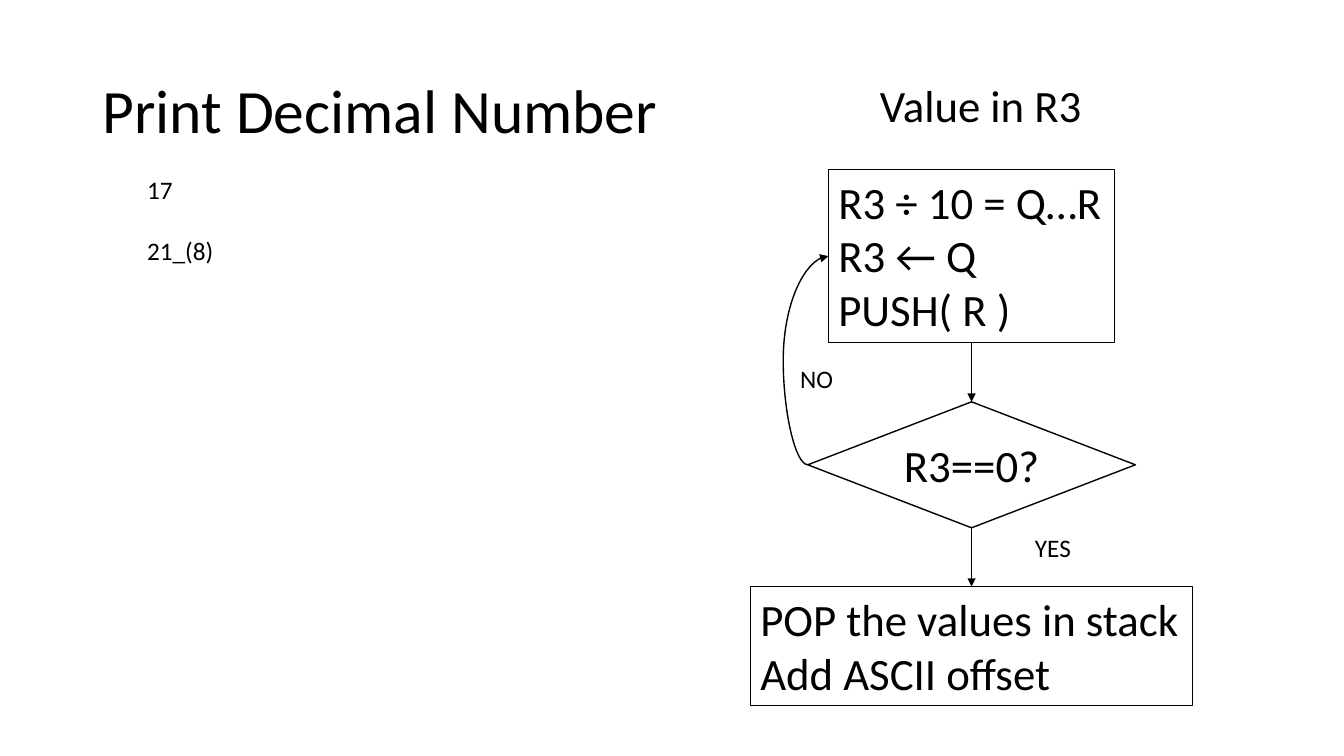
"""Build the slide with the flowchart for printing a decimal number."""
from lxml.etree import SubElement
from pptx import Presentation
from pptx.dml.color import RGBColor
from pptx.enum.shapes import MSO_CONNECTOR, MSO_SHAPE
from pptx.enum.text import MSO_ANCHOR, PP_ALIGN
from pptx.oxml.ns import qn
from pptx.util import Pt

COLORS = {"ink": "000000"}
TOP, LEFT, BOTTOM = 0, 1, 2


class FlowSlide:
    """Hold the style and the current slide."""

    font = "Calibri"
    ink = RGBColor.from_string(COLORS["ink"])

    def __init__(self, slide):
        """Keep the slide to draw on."""
        self.slide = slide

    def fill_text(self, shape, lines, size, wrap=False, anchor=MSO_ANCHOR.TOP,
                  align=PP_ALIGN.LEFT, gap=0, spacing=None):
        """Fill a shape with one paragraph per line."""
        frame = shape.text_frame
        frame.word_wrap = wrap
        frame.vertical_anchor = anchor
        for index, line in enumerate(lines):
            paragraph = frame.add_paragraph() if index else frame.paragraphs[0]
            paragraph.alignment = align
            paragraph.line_spacing = spacing
            if index and gap:
                paragraph.space_before = Pt(gap)
            run = paragraph.add_run()
            run.text = line
            run.font.name = self.font
            run.font.size = Pt(size)
            run.font.color.rgb = self.ink

    def text(self, left, top, width, height, lines, size, **layout):
        """Add a text box."""
        box = self.slide.shapes.add_textbox(Pt(left), Pt(top), Pt(width), Pt(height))
        self.fill_text(box, lines, size, **layout)

    def step(self, kind, center, top, width, height, lines, line_width, **layout):
        """Add an outlined flowchart step centred on a vertical axis."""
        shape = self.slide.shapes.add_shape(
            kind, Pt(center - width / 2), Pt(top), Pt(width), Pt(height))
        shape.shadow.inherit = False
        shape.fill.background()
        shape.line.color.rgb = self.ink
        shape.line.width = Pt(line_width)
        self.fill_text(shape, lines, 32, **layout)
        return shape

    def arrow(self, source, source_site, target, target_site, bend=None):
        """Connect two steps, curving sideways when a bend is given."""
        kind = MSO_CONNECTOR.STRAIGHT if bend is None else MSO_CONNECTOR.CURVE
        connector = self.slide.shapes.add_connector(kind, Pt(0), Pt(0), Pt(0), Pt(0))
        connector.begin_connect(source, source_site)
        connector.end_connect(target, target_site)
        connector.line.color.rgb = self.ink
        connector.line.width = Pt(1)
        properties = connector._element.spPr
        SubElement(properties.find(qn("a:ln")), qn("a:tailEnd"), type="triangle")
        SubElement(properties, qn("a:effectLst"))
        if bend is not None:
            guides = properties.find(qn("a:prstGeom")).get_or_add_avLst()
            SubElement(guides, qn("a:gd"), name="adj1", fmla=f"val {round(bend * 100000)}")


presentation = Presentation()
presentation.slide_width, presentation.slide_height = Pt(960), Pt(540)
flow = FlowSlide(presentation.slides.add_slide(presentation.slide_layouts[6]))

flow.text(66, 28.8, 414, 104.4, ["Print Decimal Number"], 44,
          wrap=True, anchor=MSO_ANCHOR.MIDDLE, spacing=0.9)
flow.text(621.4, 51.8, 159.8, 46, ["Value in R3"], 32)

axis = 694
divide = flow.step(MSO_SHAPE.RECTANGLE, axis, 121, 204.5, 124,
                   ["R3 ÷ 10 = Q…R", "R3 ← Q", "PUSH( R )"], 0.75)
check = flow.step(MSO_SHAPE.DIAMOND, axis, 287, 234, 90, ["R3==0?"], 1,
                  wrap=True, anchor=MSO_ANCHOR.MIDDLE, align=PP_ALIGN.CENTER)
output = flow.step(MSO_SHAPE.RECTANGLE, axis, 419, 316, 85,
                   ["POP the values in stack", "Add ASCII offset"], 0.75)

flow.arrow(divide, BOTTOM, check, TOP)
flow.arrow(check, BOTTOM, output, TOP)
flow.arrow(check, LEFT, divide, LEFT, bend=-1.19)

flow.text(732.2, 377, 40.3, 29, ["YES"], 18)
flow.text(564.5, 255.6, 38.2, 29, ["NO"], 18)
flow.text(98, 121, 62.6, 72.7, ["17", "21_(8)"], 18, gap=22)

presentation.save("out.pptx")
